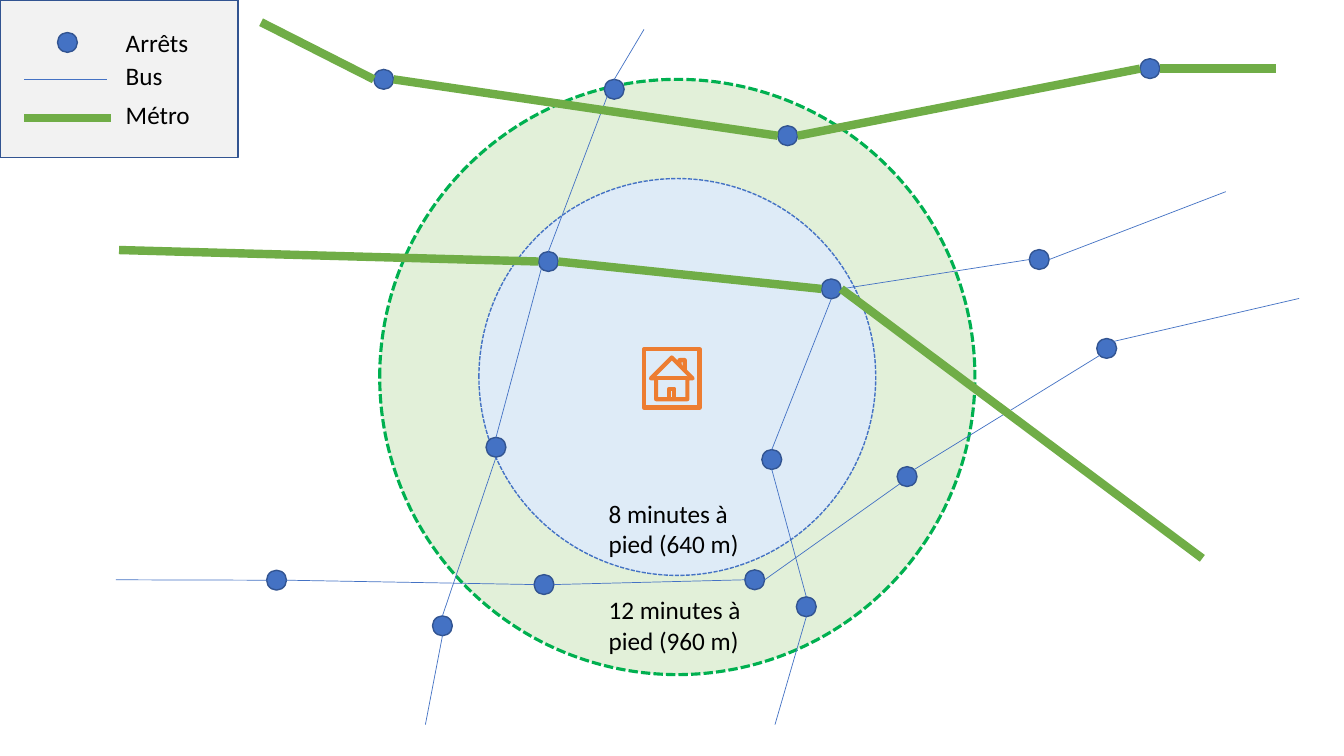
from math import cos, radians, sin

from lxml.etree import SubElement
from pptx import Presentation
from pptx.dml.color import RGBColor
from pptx.enum.dml import MSO_LINE
from pptx.enum.shapes import MSO_CONNECTOR, MSO_SHAPE
from pptx.enum.text import PP_ALIGN
from pptx.oxml.ns import qn
from pptx.util import Cm, Pt

# Content: positions in centimetres
SLIDE_SIZE = (33.87, 19.05)
CENTRE = (17.07, 9.5)
ZONES = [  # radius, theme key, line width, label, label top
    (7.5, "far", 2.25, "12 minutes à pied (960 m)", 14.86),
    (5.0, "near", 1, "8 minutes à pied (640 m)", 12.42),
]
STOPS = {
    "A": (13.82, 6.59), "B": (12.5, 11.27), "C": (11.15, 15.77), "D": (15.48, 2.25),
    "E": (20.95, 7.28), "F": (26.19, 6.54), "G": (19.45, 11.58), "H": (20.32, 15.29),
    "I": (22.86, 12.01), "J": (27.89, 8.78), "K": (19.85, 3.42), "L": (9.67, 2.0),
    "M": (28.98, 1.73), "N": (19.02, 14.61), "O": (13.71, 14.73), "P": (6.97, 14.62),
}
# Each end is a stop with the side it leaves from, or a free point
BUS = [
    ("D top", (16.23, 0.74)), ("A top", "D bottom left"), ("A bottom left", "B top"),
    ("B bottom", "C top"), ("C bottom", (10.72, 18.26)),
    ((30.89, 4.83), "F right"), ("F left", "E right"), ("E bottom", "G top"),
    ("G bottom", "H top"), ("H bottom", (19.53, 18.26)),
    ((32.74, 7.6 - 0.08), "J top right"), ("J bottom left", "I top right"),
    ("I bottom left", "N right"), ("N left", "O right"), ("O left", "P right"),
    ("P left", (2.92, 14.61)),
]
METRO = [
    ((3.0, 6.3), "A left"), ("A right", "E left"), ("E right", (30.3, 14.07)),
    ((6.58, 0.56), "L left"), ("L right", "K left"), ("K right", "M left"),
    ("M right", (32.16, 1.73)),
]
LEGEND = [("Arrêts", 0.56), ("Bus", 1.4), ("Métro", 2.39)]
LEGEND_STOP = (1.7, 1.07)
LEGEND_LINES = [("bus", (0.61, 2.0), (2.7, 2.0)), ("metro", (0.61, 2.98), (2.8, 2.98))]

STOP_RADIUS = 0.25
ANGLES = {"right": 0, "bottom": 90, "bottom left": 135, "left": 180,
          "top": 270, "top right": 315}

THEME = {
    "font": "Calibri", "size": 18, "text": "000000",
    "far": ("E2F0D9", "00B050"), "near": ("DEEBF7", "4472C4"),
    "legend": ("F2F2F2", "325491"), "stop": ("4472C4", "325491"),
    "home": (None, "ED7D31"), "bus": ("4472C4", 0.5), "metro": ("70AD47", 6),
}


def add_figure(slide, kind, box, style, width=1, dash=None):
    shape = slide.shapes.add_shape(kind, *(Cm(length) for length in box))
    shape.shadow.inherit = False
    fill, line = THEME[style]
    if fill:
        shape.fill.solid()
        shape.fill.fore_color.rgb = RGBColor.from_string(fill)
    else:
        shape.fill.background()
    shape.line.color.rgb = RGBColor.from_string(line)
    shape.line.width = Pt(width)
    if dash:
        shape.line.dash_style = dash


def add_circle(slide, centre, radius, style, **line):
    x, y = centre
    box = (x - radius, y - radius, 2 * radius, 2 * radius)
    add_figure(slide, MSO_SHAPE.OVAL, box, style, **line)


def locate(end):
    """Return the point where a line ends, on the edge of a stop or free."""
    if isinstance(end, tuple):
        return end
    name, side = end.split(" ", 1)
    x, y = STOPS[name]
    angle = radians(ANGLES[side])
    return x + STOP_RADIUS * cos(angle), y + STOP_RADIUS * sin(angle)


def add_line(slide, start, end, style):
    points = [Cm(length) for length in (*locate(start), *locate(end))]
    connector = slide.shapes.add_connector(MSO_CONNECTOR.STRAIGHT, *points)
    color, width = THEME[style]
    connector.line.color.rgb = RGBColor.from_string(color)
    connector.line.width = Pt(width)
    SubElement(connector._element.spPr, qn("a:effectLst"))


def add_text(slide, text, box, size=THEME["size"], color=THEME["text"], align=PP_ALIGN.LEFT):
    frame = slide.shapes.add_textbox(*(Cm(length) for length in box)).text_frame
    frame.word_wrap = True
    paragraph = frame.paragraphs[0]
    paragraph.alignment = align
    run = paragraph.add_run()
    run.text = text
    run.font.name = THEME["font"]
    run.font.size = Pt(size)
    run.font.color.rgb = RGBColor.from_string(color)


def main():
    presentation = Presentation()
    presentation.slide_width, presentation.slide_height = map(Cm, SLIDE_SIZE)
    slide = presentation.slides.add_slide(presentation.slide_layouts[6])

    # Walking zones around the home
    for radius, style, width, _, _ in ZONES:
        add_circle(slide, CENTRE, radius, style, width=width, dash=MSO_LINE.SQUARE_DOT)
    add_figure(slide, MSO_SHAPE.ACTION_BUTTON_HOME, (16.23, 8.8, 1.4, 1.47), "home", width=3)

    # Legend
    add_figure(slide, MSO_SHAPE.RECTANGLE, (0, 0, 6, 3.97), "legend")
    add_circle(slide, LEGEND_STOP, STOP_RADIUS, "stop")
    for style, start, end in LEGEND_LINES:
        add_line(slide, start, end, style)
    for label, top in LEGEND:
        add_text(slide, label, (2.92, top, 3.07, 1.03))

    # Network
    for centre in STOPS.values():
        add_circle(slide, centre, STOP_RADIUS, "stop")
    for style, segments in (("bus", BUS), ("metro", METRO)):
        for start, end in segments:
            add_line(slide, start, end, style)

    # Zone labels
    for _, _, _, label, top in ZONES:
        add_text(slide, label, (15.09, top, 4.6, 1.8))

    presentation.save("out.pptx")


if __name__ == "__main__":
    main()
